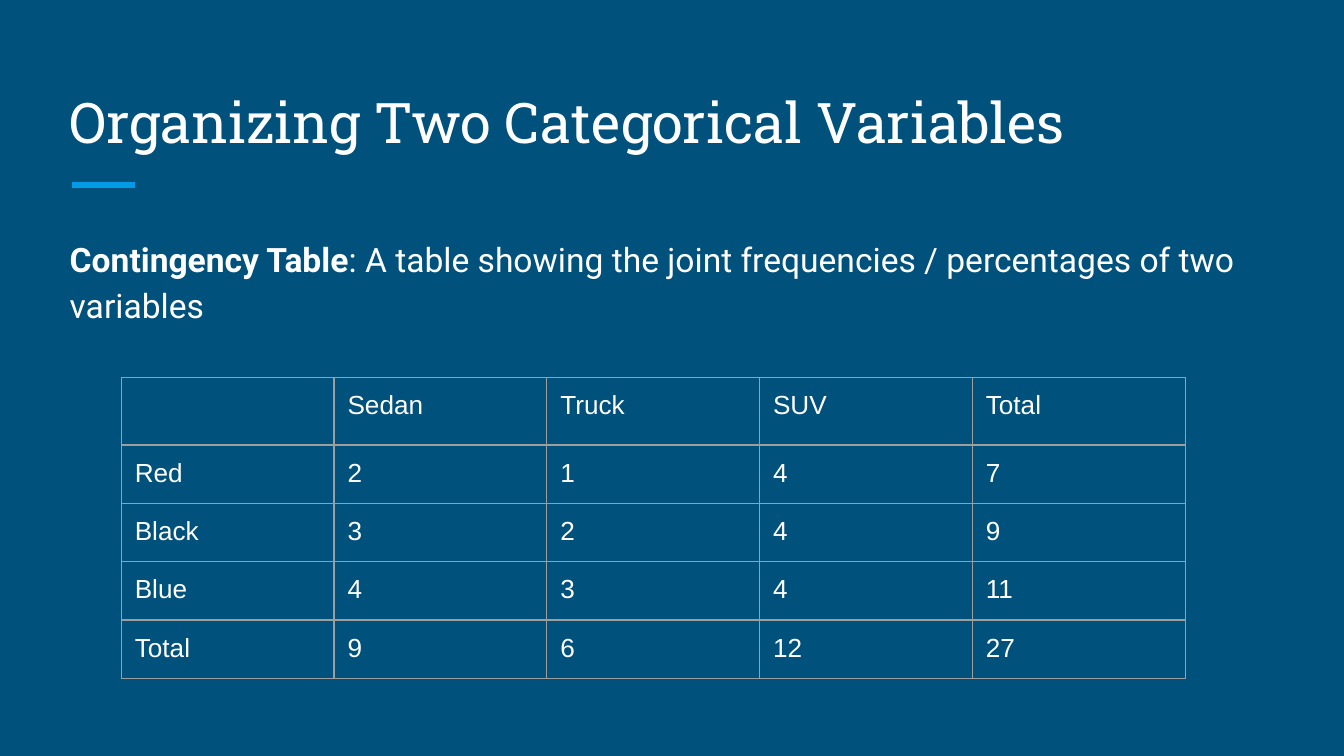
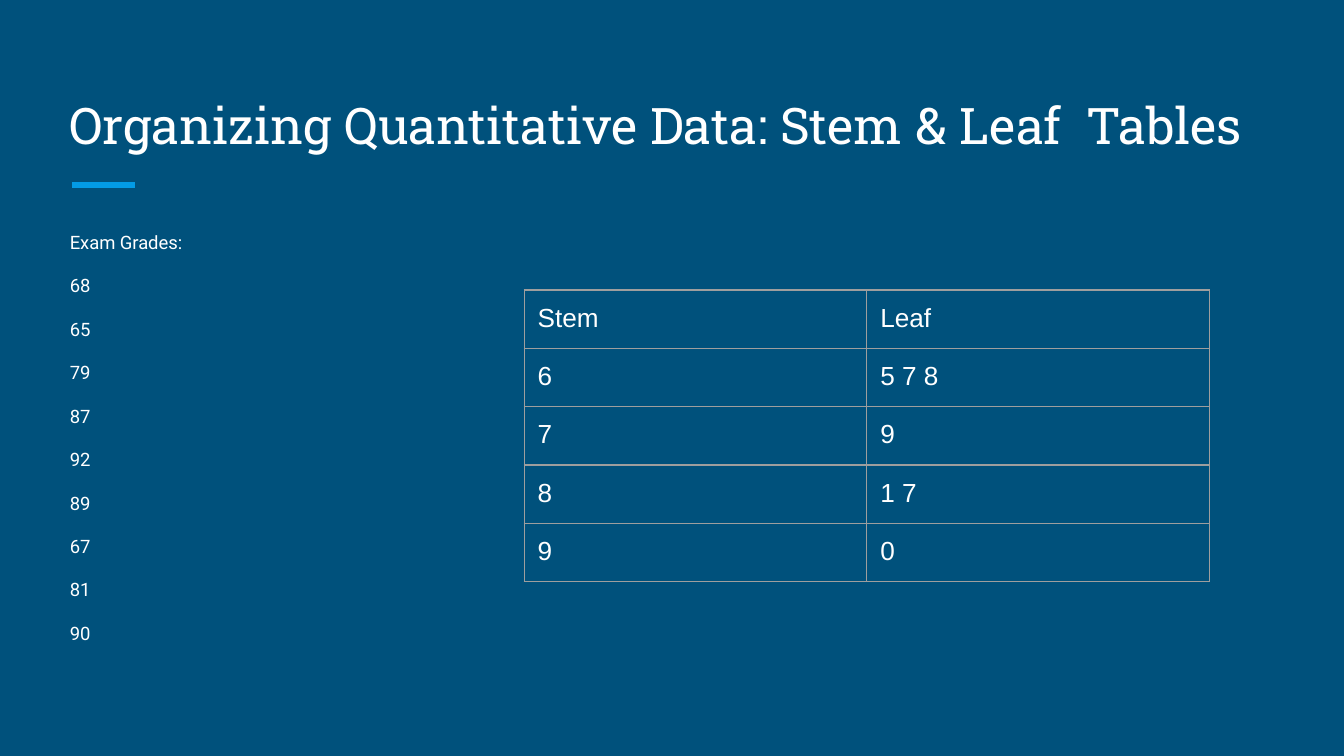
from lxml import etree
from pptx import Presentation
from pptx.dml.color import RGBColor
from pptx.enum.shapes import MSO_CONNECTOR
from pptx.enum.text import MSO_ANCHOR
from pptx.oxml.ns import qn
from pptx.util import Pt

STRAIGHT = MSO_CONNECTOR.STRAIGHT
TOP, BOTTOM = MSO_ANCHOR.TOP, MSO_ANCHOR.BOTTOM

COLORS = {"background": "00517C", "accent": "039BE5", "text": "FFFFFF", "grid": "9E9E9E"}
TITLE_FONT, BODY_FONT, TABLE_FONT = "Roboto Slab", "Roboto", "Arial"
SLIDE_SIZE = (720, 405)
LEFT, INSET = 30.3, 7.2
TITLE_BOX = (LEFT, 36, 659, 54)
BODY_TOP, BODY_HEIGHT = 117.4, 242.6
ACCENT_START, ACCENT_END, ACCENT_Y = 38.6, 72.3, 99
ROW_HEIGHT = 30.2

GRADES = [68, 65, 79, 87, 92, 89, 67, 81, 90]

SLIDES = [
    {
        "title": "Organizing Two Categorical Variables",
        "title_size": 30,
        "body": [[("Contingency Table", True),
                  (": A table showing the joint frequencies / percentages of two variables", False)]],
        "body_width": 659, "body_size": 18, "line_spacing": 1.15, "gap": 0,
        "table": [
            ["", "Sedan", "Truck", "SUV", "Total"],
            ["Red", 2, 1, 4, 7],
            ["Black", 3, 2, 4, 9],
            ["Blue", 4, 3, 4, 11],
            ["Total", 9, 6, 12, 27],
        ],
        "table_at": (65, 202.4), "column_width": 114,
    },
    {
        "title": "Organizing Quantitative Data: Stem & Leaf  Tables",
        "title_size": 27,
        "body": [[("Exam Grades:", False)]] + [[(str(grade), False)] for grade in GRADES],
        "body_width": 217.5, "body_size": 9.9, "line_spacing": 0.95, "gap": 12,
        "table": [
            ["Stem", "Leaf"],
            [6, "5 7 8"],
            [7, "9"],
            [8, "1 7"],
            [9, "0"],
        ],
        "table_at": (280.8, 155.4), "column_width": 183.6,
    },
]


def color(name):
    return RGBColor.from_string(COLORS[name])


def add_run(paragraph, text, font, size, bold=False):
    run = paragraph.add_run()
    run.text = text
    run.font.name = font
    run.font.size = Pt(size)
    run.font.bold = bold
    run.font.color.rgb = color("text")


def add_text(slide, box, paragraphs, font, size, anchor=TOP, line_spacing=1.0, gap=0):
    frame = slide.shapes.add_textbox(*map(Pt, box)).text_frame
    frame.word_wrap = True
    frame.vertical_anchor = anchor
    frame.margin_left = frame.margin_right = Pt(INSET)
    frame.margin_top = frame.margin_bottom = Pt(INSET)
    for index, runs in enumerate(paragraphs):
        paragraph = frame.add_paragraph() if index else frame.paragraphs[0]
        paragraph.line_spacing = line_spacing
        paragraph.space_before = Pt(gap if index else 0)
        for text, bold in runs:
            add_run(paragraph, text, font, size, bold)


def add_accent(slide):
    accent = slide.shapes.add_connector(
        STRAIGHT, Pt(ACCENT_START), Pt(ACCENT_Y), Pt(ACCENT_END), Pt(ACCENT_Y))
    accent.line.color.rgb = color("accent")
    accent.line.width = Pt(3)
    etree.SubElement(accent._element.spPr, qn("a:effectLst"))


def add_borders(cell):
    properties = cell._tc.get_or_add_tcPr()
    for side in ("lnL", "lnR", "lnT", "lnB"):
        line = etree.SubElement(properties, qn(f"a:{side}"), w=str(Pt(0.75)))
        fill = etree.SubElement(line, qn("a:solidFill"))
        etree.SubElement(fill, qn("a:srgbClr"), val=COLORS["grid"])


def add_table(slide, rows, at, column_width):
    columns = len(rows[0])
    table = slide.shapes.add_table(
        len(rows), columns, *map(Pt, at),
        Pt(column_width * columns), Pt(ROW_HEIGHT * len(rows))).table
    table.first_row = table.horz_banding = False
    for column in table.columns:
        column.width = Pt(column_width)
    for row, values in zip(table.rows, rows):
        row.height = Pt(ROW_HEIGHT)
        for cell, value in zip(row.cells, values):
            add_borders(cell)
            cell.fill.background()
            cell.margin_left = cell.margin_right = Pt(INSET)
            cell.margin_top = cell.margin_bottom = Pt(INSET)
            if value != "":
                add_run(cell.text_frame.paragraphs[0], str(value), TABLE_FONT, 14)


def build_slide(deck, content):
    slide = deck.slides.add_slide(deck.slide_layouts[6])
    slide.background.fill.solid()
    slide.background.fill.fore_color.rgb = color("background")
    add_accent(slide)
    add_text(slide, TITLE_BOX, [[(content["title"], False)]],
             TITLE_FONT, content["title_size"], BOTTOM)
    add_text(slide, (LEFT, BODY_TOP, content["body_width"], BODY_HEIGHT), content["body"],
             BODY_FONT, content["body_size"],
             line_spacing=content["line_spacing"], gap=content["gap"])
    add_table(slide, content["table"], content["table_at"], content["column_width"])


def main():
    deck = Presentation()
    deck.slide_width, deck.slide_height = map(Pt, SLIDE_SIZE)
    for content in SLIDES:
        build_slide(deck, content)
    deck.save("out.pptx")


if __name__ == "__main__":
    main()
